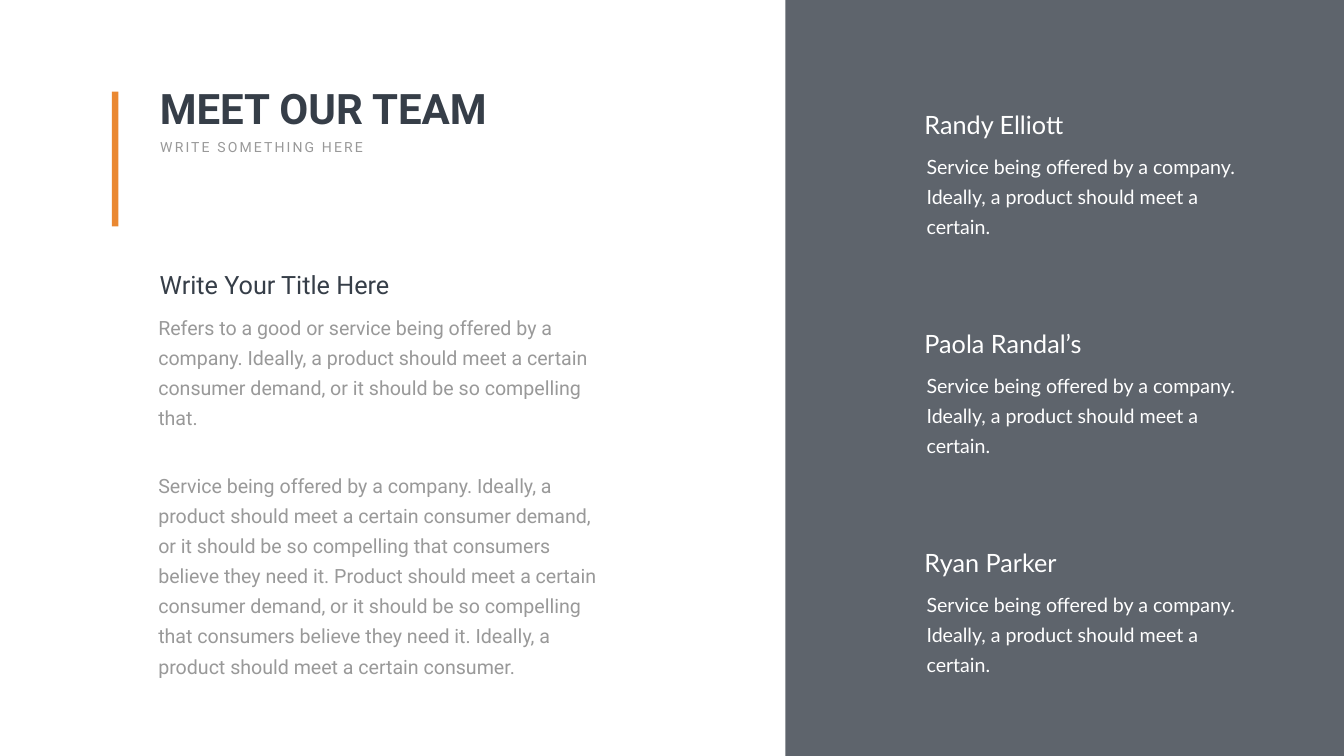
from dataclasses import dataclass

from lxml.etree import SubElement
from pptx import Presentation
from pptx.dml.color import RGBColor
from pptx.enum.shapes import MSO_SHAPE
from pptx.enum.text import MSO_ANCHOR, MSO_AUTO_SIZE, PP_ALIGN
from pptx.oxml.ns import qn
from pptx.util import Pt


@dataclass(frozen=True)
class Theme:
    """Colours, fonts and type sizes of the slide."""
    dark: str = "363E48"
    grey: str = "999999"
    accent: str = "EA8831"
    white: str = "FFFFFF"
    main_font: str = "Roboto"
    team_font: str = "Lato"
    title: int = 60
    heading: int = 36
    body: int = 28
    caption: int = 20
    leading: int = 43
    paragraph_gap: float = 54.2


THEME = Theme()
SLIDE_WIDTH, SLIDE_HEIGHT = 1919.52, 1080
PANEL_LEFT = 1121.76
LABEL_INSETS = (7.2, 3.6)
BODY_INSETS = (17.28, 8.64)
HEADING_HEIGHT = 51.12
TEAM = ("Randy Elliott", "Paola Randal’s", "Ryan Parker")
TEAM_TOP, TEAM_PITCH = 151.92, 312.84
SERVICE = "Service being offered by a company. Ideally, a product should meet a certain."
STORY = (
    "Refers to a good or service being offered by a company. Ideally, a product "
    "should meet a certain consumer demand, or it should be so compelling that.",
    "Service being offered by a company. Ideally, a product should meet a certain "
    "consumer demand, or it should be so compelling that consumers believe they need "
    "it. Product should meet a certain consumer demand, or it should be so compelling "
    "that consumers believe they need it. Ideally, a product should meet a certain "
    "consumer.",
)


def add_bar(slide, box, color, opacity=100):
    """Add a plain rectangle, optionally translucent."""
    bar = slide.shapes.add_shape(MSO_SHAPE.RECTANGLE, *map(Pt, box))
    bar.shadow.inherit = False
    bar.line.fill.background()
    bar.fill.solid()
    bar.fill.fore_color.rgb = RGBColor.from_string(color)
    if opacity < 100:
        tint = bar.fill._xPr.find(f".//{qn('a:srgbClr')}")
        SubElement(tint, qn("a:alpha"), val=str(opacity * 1000))


def place(holder, box):
    """Move a placeholder to the given box."""
    holder.left, holder.top, holder.width, holder.height = map(Pt, box)
    return holder


def add_box(slide, box):
    """Add an empty text box."""
    return slide.shapes.add_textbox(*map(Pt, box))


def write(holder, lines, size, color, font, insets=LABEL_INSETS, bold=False, wrap=True):
    """Fill a text holder with left-aligned, unbulleted paragraphs."""
    frame = holder.text_frame
    frame.text = "\n".join(lines)
    frame.word_wrap = wrap
    frame.auto_size = MSO_AUTO_SIZE.NONE
    frame.vertical_anchor = MSO_ANCHOR.TOP
    frame.margin_left = frame.margin_right = Pt(insets[0])
    frame.margin_top = frame.margin_bottom = Pt(insets[1])
    for index, paragraph in enumerate(frame.paragraphs):
        properties = paragraph._p.get_or_add_pPr()
        properties.set("marL", "0")
        properties.set("indent", "0")
        SubElement(properties, qn("a:buNone"))
        paragraph.alignment = PP_ALIGN.LEFT
        paragraph.space_before = Pt(THEME.paragraph_gap if index else 0)
        for run in paragraph.runs:
            run.font.name = font
            run.font.size = Pt(size)
            run.font.bold = bold
            run.font.color.rgb = RGBColor.from_string(color)
    return frame


def write_body(holder, lines, color, font):
    """Fill a text holder with body copy on a fixed line pitch."""
    frame = write(holder, lines, THEME.body, color, font, BODY_INSETS)
    for paragraph in frame.paragraphs:
        paragraph.line_spacing = Pt(THEME.leading)


def add_header(slide):
    """Add the accent bar, the title and the spaced caption."""
    add_bar(slide, (159.84, 131.04, 9.36, 192.24), THEME.accent)
    title = place(slide.shapes.title, (221.04, 114.48, 600.48, 79.92))
    write(title, ["MEET OUR TEAM"], THEME.title, THEME.dark, THEME.main_font, bold=True)
    caption = add_box(slide, (221.76, 194.4, 313.2, 31.68))
    frame = write(caption, ["WRITE SOMETHING HERE"], THEME.caption, THEME.grey,
                  THEME.main_font, wrap=False)
    for run in frame.paragraphs[0].runs:
        run.font._element.set("spc", "300")


def add_story(slide):
    """Add the heading and its two paragraphs."""
    heading = add_box(slide, (221.04, 381.6, 408.24, HEADING_HEIGHT))
    write(heading, ["Write Your Title Here"], THEME.heading, THEME.dark, THEME.main_font)
    story = place(slide.placeholders[1], (208.8, 432.72, 661.68, 547.92))
    write_body(story, STORY, THEME.grey, THEME.main_font)


def add_member(slide, name, top):
    """Add a team member's name and description."""
    heading = add_box(slide, (1313.28, top, 285.84, HEADING_HEIGHT))
    write(heading, [name], THEME.heading, THEME.white, THEME.team_font)
    description = add_box(slide, (1306.08, top + HEADING_HEIGHT, 516.24, 99.36))
    write_body(description, [SERVICE], THEME.white, THEME.team_font)


def main():
    """Build and save the team slide."""
    deck = Presentation()
    deck.slide_width, deck.slide_height = Pt(SLIDE_WIDTH), Pt(SLIDE_HEIGHT)
    slide = deck.slides.add_slide(deck.slide_layouts[1])
    panel = (PANEL_LEFT, 0, SLIDE_WIDTH - PANEL_LEFT, SLIDE_HEIGHT)
    add_bar(slide, panel, THEME.dark, opacity=80)
    add_header(slide)
    add_story(slide)
    for index, name in enumerate(TEAM):
        add_member(slide, name, TEAM_TOP + index * TEAM_PITCH)
    deck.save("out.pptx")


if __name__ == "__main__":
    main()
